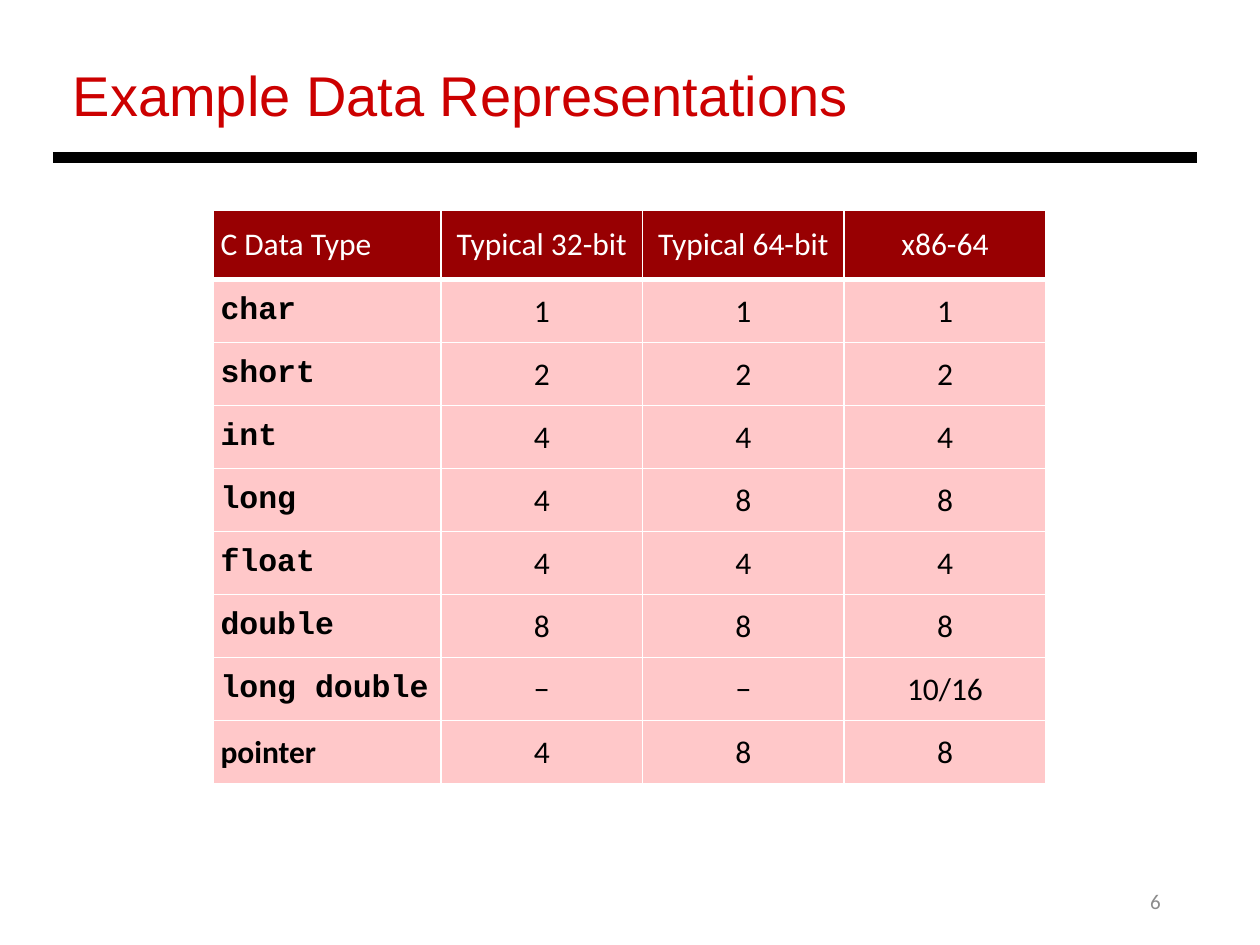
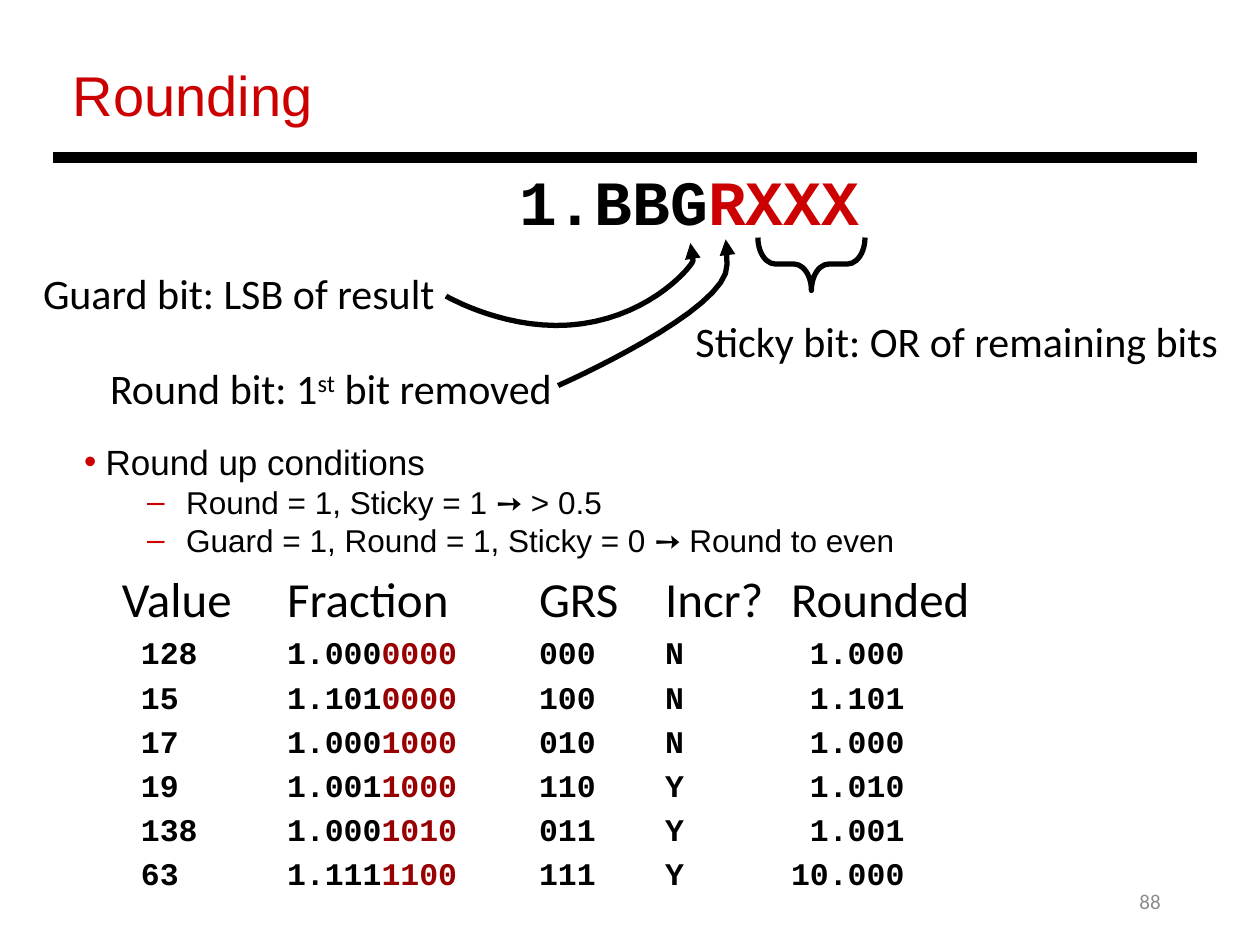
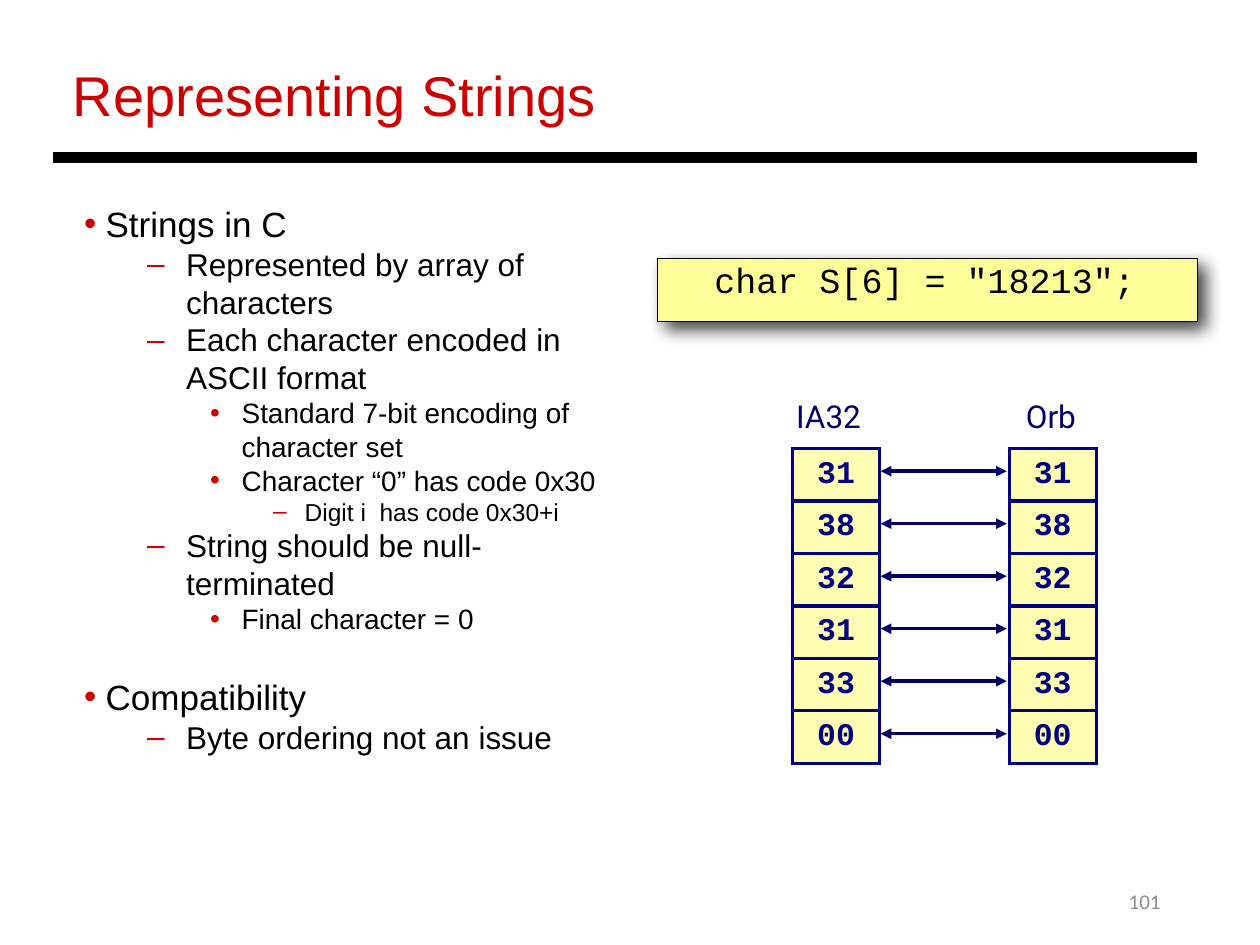
"""Build three lecture slides on data representation, rounding and strings."""
from lxml.etree import SubElement
from pptx import Presentation
from pptx.dml.color import RGBColor
from pptx.enum.shapes import MSO_CONNECTOR as Wire, MSO_SHAPE as Shape
from pptx.enum.text import MSO_ANCHOR as Anchor, PP_ALIGN as Align
from pptx.oxml.ns import qn
from pptx.util import Inches, Pt

HUES = {"title": "CC0000", "ink": "000000", "grey": "8C8C8C", "white": "FFFFFF",
        "head": "980002", "pink": "FFC8C9", "code": "FFFF99", "byte": "FFFEB2",
        "navy": "000080", "label": "000066"}
SANS, BODY, MONO, TAG = "Arial", "Calibri", "Courier New", "Roboto"

TYPES = [
    ("C Data Type", "Typical 32-bit", "Typical 64-bit", "x86-64"),
    ("char", "1", "1", "1"),
    ("short", "2", "2", "2"),
    ("int", "4", "4", "4"),
    ("long", "4", "8", "8"),
    ("float", "4", "4", "4"),
    ("double", "8", "8", "8"),
    ("long double", "−", "−", "10/16"),
    ("pointer", "4", "8", "8"),
]
RULES = [
    (0, "Round up conditions"),
    (1, "Round = 1, Sticky = 1 ➙ > 0.5"),
    (1, "Guard = 1, Round = 1, Sticky = 0 ➙ Round to even"),
]
HEADS = ("Value", "Fraction", "GRS", "Incr?", "Rounded")
CASES = [
    ("128", "1.000", "0000", "000", "N", "1.000"),
    ("15", "1.101", "0000", "100", "N", "1.101"),
    ("17", "1.000", "1000", "010", "N", "1.000"),
    ("19", "1.001", "1000", "110", "Y", "1.010"),
    ("138", "1.000", "1010", "011", "Y", "1.001"),
    ("63", "1.111", "1100", "111", "Y", "10.000"),
]
STOPS = (1.61, 3.61, 4.61, 5.61)
CURVES = [
    [(4.43, 3.06), (4.43, 3.06), (5.79, 2.46), (5.77, 2.1),
     (5.76, 1.73), (5.76, 1.9), (5.76, 1.9)],
    [(3.54, 2.35), (3.54, 2.35), (4.05, 2.65), (4.62, 2.57), (5.19, 2.49),
     (5.5, 2.1), (5.5, 2.07), (5.5, 2.04), (5.48, 1.93), (5.48, 1.93)],
]
NOTES = [
    (0, "Strings in C"),
    (1, "Represented by array of characters"),
    (1, "Each character encoded in ASCII format"),
    (2, "Standard 7-bit encoding of character set"),
    (2, "Character “0” has code 0x30"),
    (3, "Digit i  has code 0x30+i"),
    (1, "String should be null-terminated"),
    (2, "Final character = 0"),
    (0, "Compatibility"),
    (1, "Byte ordering not an issue"),
]
BYTES = ["31", "38", "32", "31", "33", "00"]
STACKS = [("IA32", 6.25, 0.69, 6.29), ("Orb", 8.04, 0.64, 8.01)]
LEVELS = [(20, 0.17, -0.17, "•"), (18, 0.81, -0.31, "–"),
          (16, 1.25, -0.25, "•"), (14, 1.75, -0.25, "–")]


def rgb(hue):
    return RGBColor.from_string(HUES[hue])


def style(run, size, face, hue="ink", bold=False):
    font = run.font
    font.size, font.name, font.bold = Pt(size), face, bold
    font.color.rgb = rgb(hue)


def pad(part, sides):
    part.margin_left, part.margin_top, part.margin_right, part.margin_bottom = map(Inches, sides)


def box(slide, at, wrap=True, sides=(0.1, 0.05, 0.1, 0.05)):
    frame = slide.shapes.add_textbox(*map(Inches, at)).text_frame
    frame.word_wrap = wrap
    pad(frame, sides)
    return frame


def write(para, parts, size, face, align=Align.LEFT, bold=False):
    para.alignment = align
    for text, hue in parts:
        run = para.add_run()
        run.text = text
        style(run, size, face, hue, bold)


def indent(para, left, first):
    props = para._p.get_or_add_pPr()
    props.set("marL", str(Inches(left)))
    props.set("indent", str(Inches(first)))
    return props


def bullets(frame, items):
    for i, (level, text) in enumerate(items):
        para = frame.add_paragraph() if i else frame.paragraphs[0]
        size, left, first, mark = LEVELS[level]
        para.level = level
        if i and level == 0:
            para.space_before = Pt(23)
        props = indent(para, left, first)
        color = SubElement(props, qn("a:buClr"))
        SubElement(color, qn("a:srgbClr"), val=HUES["title"])
        SubElement(props, qn("a:buFont"), typeface=SANS)
        SubElement(props, qn("a:buChar"), char=mark)
        write(para, [(text, "ink")], size, SANS)


def tabbed(frame, first, gap, parts, size, face, bold=False):
    para = frame.add_paragraph()
    para.level = 1
    para.space_before = Pt(gap)
    props = indent(para, 0.61, first)
    props.set("defTabSz", str(Inches(1)))
    tabs = SubElement(props, qn("a:tabLst"))
    for stop in STOPS:
        SubElement(tabs, qn("a:tab"), pos=str(Inches(stop)), algn="l")
    write(para, parts, size, face, bold=bold)


def outline(shape, hue, width, ends=()):
    shape.line.color.rgb = rgb(hue)
    shape.line.width = Pt(width)
    for end in ends:
        SubElement(shape.line._get_or_add_ln(), qn("a:" + end), type="triangle")


def wire(slide, start, end, hue, width, ends=()):
    line = slide.shapes.add_connector(Wire.STRAIGHT, *map(Inches, start + end))
    outline(line, hue, width, ends)
    SubElement(line._element.spPr, qn("a:effectLst"))


def edge(cell, hue, widths):
    props = cell._tc.get_or_add_tcPr()
    for i, (side, width) in enumerate(zip("LRTB", widths)):
        line = SubElement(props, qn("a:ln" + side), w=str(Pt(width)))
        fill = SubElement(line, qn("a:solidFill"))
        SubElement(fill, qn("a:srgbClr"), val=HUES[hue])
        props.remove(line)
        props.insert(i, line)


def grid(slide, at, widths, heights):
    size = (sum(widths), sum(heights))
    table = slide.shapes.add_table(len(heights), len(widths), *map(Inches, at + size)).table
    for col, width in zip(table.columns, widths):
        col.width = Inches(width)
    for row, height in zip(table.rows, heights):
        row.height = Inches(height)
    return table


def put(cell, text, fill, hue, face, align, bold, border, widths):
    pad(cell, (0.06, 0.05, 0.06, 0.05))
    cell.vertical_anchor = Anchor.MIDDLE
    cell.fill.solid()
    cell.fill.fore_color.rgb = rgb(fill)
    edge(cell, border, widths)
    write(cell.text_frame.paragraphs[0], [(text, hue)], 18, face, align, bold)


def curve(slide, knots):
    points = []
    for k in range(0, len(knots) - 1, 3):
        quad = knots[k:k + 4]
        for step in range(1, 17):
            t = step / 16
            mix = ((1 - t) ** 3, 3 * t * (1 - t) ** 2, 3 * t * t * (1 - t), t ** 3)
            points.append(tuple(Inches(sum(m * p[axis] for m, p in zip(mix, quad)))
                                for axis in (0, 1)))
    pen = slide.shapes.build_freeform(*map(Inches, knots[0]))
    pen.add_line_segments(points, close=False)
    shape = pen.convert_to_shape()
    shape.shadow.inherit = False
    shape.fill.background()
    outline(shape, "ink", 3, ["tailEnd"])


def base(deck, title, width, number):
    slide = deck.slides.add_slide(deck.slide_layouts[6])
    foot = box(slide, (7.06, 6.95, 2.25, 0.4))
    foot.vertical_anchor = Anchor.MIDDLE
    write(foot.paragraphs[0], [(str(number), "grey")], 12, BODY, Align.RIGHT)
    head = box(slide, (0.48, 0.43, width, 0.64), False)
    write(head.paragraphs[0], [(title, "title")], 32, SANS)
    wire(slide, (0.42, 1.25), (9.5, 1.25), "ink", 6)
    return slide


def types(deck):
    slide = base(deck, "Example Data Representations", 6.41, 6)
    table = grid(slide, (1.69, 1.67), [1.81] + [1.6] * 3, [0.55] + [0.5] * 8)
    for r, row in enumerate(TYPES):
        for c, text in enumerate(row):
            top, name = r == 0, c == 0
            code = name and not top and text != "pointer"
            put(table.cell(r, c), text, "head" if top else "pink", "white" if top else "ink",
                MONO if code else BODY, Align.LEFT if name else Align.CENTER,
                name and not top, "white", (1, 1, 3 if r == 1 else 1, 3 if top else 1))


def rounding(deck):
    slide = base(deck, "Rounding", 2.13, 88)
    frame = box(slide, (0.57, 3.45, 8.97, 4.19))
    bullets(frame, RULES)
    tabbed(frame, -0.31, 5.6, [("\t".join(HEADS), "ink")], 28, BODY)
    for value, kept, cut, bits, more, final in CASES:
        parts = [(f"{value}\t{kept}", "ink"), (cut, "head"),
                 (f"\t{bits}\t{more}\t{final:>6}", "ink")]
        tabbed(frame, -0.16, 3.6, parts, 18, MONO, True)
    thin = [0.04] * 4
    bits = box(slide, (4.08, 1.25, 2.81, 0.69), False, thin)
    write(bits.paragraphs[0], [("1.BBG", "ink"), ("RXXX", "title")], 36, MONO, bold=True)
    for at, wrap, align, texts in [
            ((0.14, 2.08, 3.35, 0.49), True, Align.RIGHT, ["Guard bit: LSB of result"]),
            ((0.71, 2.84, 3.71, 0.49), False, Align.RIGHT, ["Round bit: 1", "st", " bit removed"]),
            ((5.48, 2.46, 4.36, 0.49), False, Align.LEFT, ["Sticky bit: OR of remaining bits"])]:
        para = box(slide, at, wrap, thin).paragraphs[0]
        write(para, [(text, "ink") for text in texts], 24, BODY, align)
        for run in para.runs[1:2]:
            run.font._element.set("baseline", "30000")
    brace = slide.shapes.add_shape(Shape.LEFT_BRACE, *map(Inches, (6.23, 1.67, 0.42, 0.85)))
    brace.rotation = 270
    brace.adjustments[0] = 0.33
    brace.shadow.inherit = False
    brace.fill.background()
    outline(brace, "ink", 3)
    for knots in CURVES:
        curve(slide, knots)


def strings(deck):
    slide = base(deck, "Representing Strings", 4.4, 101)
    bullets(box(slide, (0.57, 1.56, 4.5, 4.51)), NOTES)
    code = slide.shapes.add_shape(Shape.RECTANGLE, *map(Inches, (5.22, 2.05, 4.28, 0.5)))
    code.fill.solid()
    code.fill.fore_color.rgb = rgb("code")
    outline(code, "ink", 0.5)
    glow = SubElement(SubElement(code._element.spPr, qn("a:effectLst")), qn("a:outerShdw"),
                      blurRad=str(Pt(10)), dist=str(Pt(6)), dir="2700000", algn="tl")
    tint = SubElement(glow, qn("a:srgbClr"), val=HUES["ink"])
    SubElement(tint, qn("a:alpha"), val="75000")
    frame = code.text_frame
    frame.vertical_anchor = Anchor.TOP
    pad(frame, (0.03, 0.03, 0.07, 0.03))
    frame.paragraphs[0].line_spacing = 0.95
    write(frame.paragraphs[0], [('char S[6] = "18213";', "ink")], 20, MONO, Align.CENTER)
    high = 2.5 / len(BYTES)
    for i in range(len(BYTES)):
        y = 3.74 + i * high
        wire(slide, (6.99, y), (7.99, y), "label", 2, ["headEnd", "tailEnd"])
    for name, left, width, x in STACKS:
        tag = box(slide, (left, 3.09, width, 0.42), False, (0.06, 0.06, 0.1, 0.06))
        write(tag.paragraphs[0], [(name, "label")], 18, TAG, Align.CENTER)
        table = grid(slide, (x, 3.56), [0.69], [high] * len(BYTES))
        for i, text in enumerate(BYTES):
            put(table.cell(i, 0), text, "byte", "navy", MONO, Align.CENTER, True, "navy", [2] * 4)


def main():
    deck = Presentation()
    deck.slide_width, deck.slide_height = Inches(10), Inches(7.5)
    for build in (types, rounding, strings):
        build(deck)
    deck.save("out.pptx")


if __name__ == "__main__":
    main()
